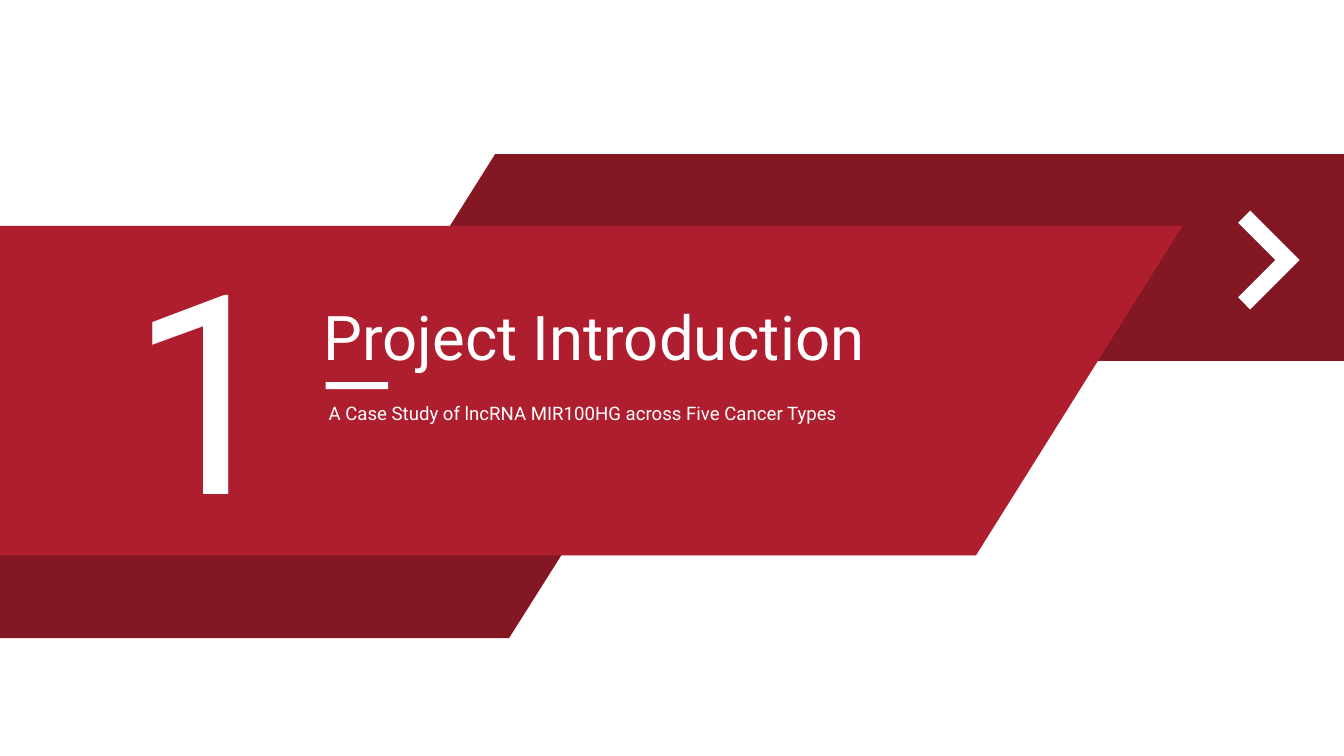
from pptx import Presentation
from pptx.dml.color import RGBColor
from pptx.enum import shapes, text
from pptx.util import Inches, Pt

COLORS = {"dark": "831723", "red": "AF1E2F", "white": "FFFFFF"}
FONT = "Roboto"


def paint(sp, color):
    sp.shadow.inherit = False
    sp.fill.solid()
    sp.fill.fore_color.rgb = RGBColor.from_string(COLORS[color])
    sp.line.fill.background()


def add_polygon(s, points, color):
    start, *rest = [(Inches(x), Inches(y)) for x, y in points]
    builder = s.shapes.build_freeform(*start)
    builder.add_line_segments(rest, close=True)
    paint(builder.convert_to_shape(), color)


def add_bar(s, x, y, w, h, color):
    sp = s.shapes.add_shape(shapes.MSO_SHAPE.RECTANGLE,
                            Inches(x), Inches(y), Inches(w), Inches(h))
    paint(sp, color)


def add_label(s, x, y, w, h, words, size, align=text.PP_ALIGN.LEFT, wrap=True):
    sp = s.shapes.add_textbox(Inches(x), Inches(y), Inches(w), Inches(h))
    tf = sp.text_frame
    tf.word_wrap = wrap
    tf.auto_size = text.MSO_AUTO_SIZE.SHAPE_TO_FIT_TEXT
    p = tf.paragraphs[0]
    p.text = words
    p.alignment = align
    p.font.name = FONT
    p.font.size = Pt(size)
    p.font.color.rgb = RGBColor.from_string(COLORS["white"])


def main():
    prs = Presentation()
    prs.slide_width, prs.slide_height = Inches(13.33), Inches(7.5)
    s = prs.slides.add_slide(prs.slide_layouts[6])

    add_polygon(s, [(13.33, 3.58), (3.62, 3.58), (4.91, 1.53), (13.33, 1.53)], "dark")
    add_polygon(s, [(0, 4.46), (6.23, 4.46), (5.05, 6.33), (0, 6.33)], "dark")
    add_polygon(s, [(0, 2.24), (11.73, 2.24), (9.68, 5.51), (0, 5.51)], "red")

    add_label(s, 1.19, 2.09, 1.65, 3.45, "1", 199, text.PP_ALIGN.CENTER, wrap=False)
    add_label(s, 3.16, 3.94, 6.18, 0.33,
              "A Case Study of lncRNA MIR100HG across Five Cancer Types", 13.3)
    add_label(s, 3.11, 2.92, 8.22, 0.84, "Project Introduction", 44)

    add_bar(s, 3.23, 3.79, 0.62, 0.07, "white")
    add_polygon(s, [(12.4, 2.09), (12.89, 2.58), (12.4, 3.07),
                    (12.28, 2.95), (12.65, 2.58), (12.28, 2.21)], "white")
    prs.save("out.pptx")


if __name__ == "__main__":
    main()
